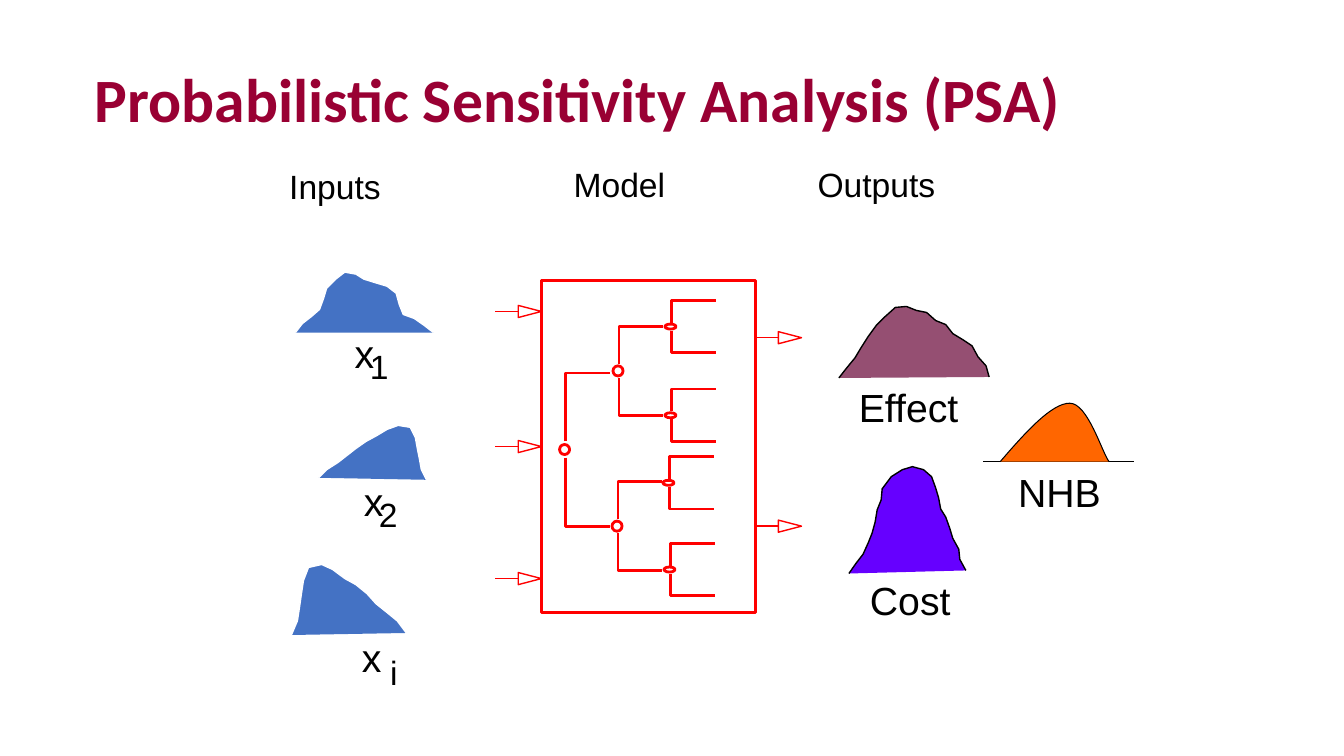
from dataclasses import dataclass

from lxml.etree import SubElement
from pptx import Presentation
from pptx.dml.color import RGBColor as RGB
from pptx.enum.shapes import MSO_CONNECTOR as CONN, MSO_SHAPE as SHAPE
from pptx.enum.text import MSO_ANCHOR as ANCHOR, MSO_AUTO_SIZE as FIT
from pptx.oxml.ns import qn
from pptx.util import Cm, Pt


@dataclass(frozen=True)
class Theme:
    """Colours, fonts, type sizes and line widths."""
    title: str = "990033"
    ink: str = "000000"
    paper: str = "FFFFFF"
    model: str = "FF0000"
    inputs: str = "4472C4"
    effect: str = "954F72"
    cost: str = "6600FF"
    benefit: str = "FF6600"
    title_font: str = "Calibri"
    body_font: str = "Arial"
    title_size: float = 44
    label_size: float = 28
    small_size: float = 24
    hair: float = 0.75
    thin: float = 1
    thick: float = 2


def u(v):
    """Turn a layout unit of 2.54 cm into a length."""
    return Cm(v * 2.54)


def bezier(p0, p1, p2, p3, steps=16):
    """Sample a cubic curve, leaving out its first point."""
    ts = [i / steps for i in range(1, steps + 1)]
    return [tuple((1 - t) ** 3 * a + 3 * t * (1 - t) ** 2 * b
                  + 3 * t * t * (1 - t) * c + t ** 3 * d
                  for a, b, c, d in zip(p0, p1, p2, p3)) for t in ts]


class Diagram:
    """Draws the elements of the slide in one style."""

    def __init__(self, slide, theme):
        """Keep the slide and its theme."""
        self.shapes, self.theme = slide.shapes, theme

    def style(self, s, fill, line, width):
        """Set fill, outline and shadow of a shape."""
        s.shadow.inherit = False
        if fill:
            s.fill.solid()
            s.fill.fore_color.rgb = RGB.from_string(fill)
        else:
            s.fill.background()
        s.line.color.rgb = RGB.from_string(line)
        s.line.width = Pt(width)
        return s

    def text(self, words, x, y, w, h, size, wrap=True):
        """Write a one-line label."""
        tf = self.shapes.add_textbox(u(x), u(y), u(w), u(h)).text_frame
        tf.word_wrap, tf.auto_size = wrap, FIT.SHAPE_TO_FIT_TEXT
        p = tf.paragraphs[0]
        p.text = words
        p.font.size, p.font.name = Pt(size), self.theme.body_font
        p.font.color.rgb = RGB.from_string(self.theme.ink)
        return tf

    def title(self, words):
        """Write the slide heading."""
        tf = self.text(words, 0.84, 0.42, 11.8, 1.19, self.theme.title_size)
        tf.auto_size, tf.vertical_anchor = FIT.NONE, ANCHOR.MIDDLE
        p = tf.paragraphs[0]
        p.line_spacing = 0.9
        p.font.name, p.font.bold = self.theme.title_font, True
        p.font.color.rgb = RGB.from_string(self.theme.title)

    def outline(self, points, line, width, fill=None, close=False):
        """Draw a freeform through the points."""
        (x, y), *rest = [(u(a), u(b)) for a, b in points]
        fb = self.shapes.build_freeform(x, y, scale=1.0)
        fb.add_line_segments(rest, close=close)
        return self.style(fb.convert_to_shape(), fill, line, width)

    def preset(self, kind, x, y, w, h):
        """Draw an unfilled shape of the model."""
        s = self.shapes.add_shape(kind, u(x), u(y), u(w), u(h))
        return self.style(s, None, self.theme.model, self.theme.thick)

    def line(self, x1, x2, y, color, width):
        """Draw a horizontal line."""
        s = self.shapes.add_connector(CONN.STRAIGHT, u(x1), u(y), u(x2), u(y))
        s.line.color.rgb = RGB.from_string(color)
        s.line.width = Pt(width)
        SubElement(s._element.spPr, qn("a:effectLst"))

    def arrow(self, x, y, half=0.23):
        """Draw an arrow whose open head is half its length."""
        t, neck = self.theme, x + half
        self.line(x, neck, y, t.model, t.thin)
        head = [(neck + half, y), (neck, y - 0.06), (neck, y + 0.06)]
        self.outline(head, t.model, t.thin, t.paper, close=True)

    def fork(self, x, y, gap, rise, reach, w, h):
        """Draw a tree node with an upper and a lower branch."""
        t = self.theme
        self.preset(SHAPE.OVAL, x - 0.01 - w / 2, y - h / 2, w, h)
        for side in (-1, 1):
            end = y + side * rise
            self.outline([(x, y + side * gap), (x, end), (x + reach, end)],
                         t.model, t.thick)

    def variable(self, x, y, sub, dx, dy):
        """Write the letter x with its index."""
        t = self.theme
        self.text("x", x, y, 0.4, 0.57, t.label_size, wrap=False)
        self.text(sub, x + dx, y + dy, 0.43, 0.51, t.small_size)


X1 = [(2.93, 3.3), (3, 3.21), (3.09, 3.14), (3.17, 3.07), (3.21, 2.96),
      (3.24, 2.86), (3.33, 2.77), (3.42, 2.7), (3.53, 2.72), (3.61, 2.77),
      (3.74, 2.81), (3.84, 2.84), (3.93, 2.91), (3.96, 3.02), (4, 3.12),
      (4.11, 3.16), (4.21, 3.23), (4.3, 3.3)]
X2 = [(3.16, 4.74), (3.24, 4.66), (3.35, 4.59), (3.44, 4.52), (3.53, 4.45),
      (3.63, 4.38), (3.74, 4.32), (3.84, 4.26), (3.95, 4.22), (4.07, 4.24),
      (4.12, 4.34), (4.14, 4.45), (4.16, 4.55), (4.18, 4.66), (4.23, 4.76)]
XI = [(4.03, 6.28), (3.94, 6.16), (3.83, 6.07), (3.73, 5.99), (3.64, 5.89),
      (3.53, 5.8), (3.42, 5.74), (3.3, 5.65), (3.19, 5.6), (3.06, 5.63),
      (3.01, 5.76), (2.99, 5.89), (2.97, 6.03), (2.95, 6.16), (2.89, 6.3)]
COST = [(8.42, 5.69), (8.49, 5.59), (8.56, 5.5), (8.61, 5.39), (8.65, 5.29),
        (8.68, 5.18), (8.7, 5.06), (8.74, 4.96), (8.75, 4.85), (8.84, 4.73),
        (8.95, 4.66), (9.05, 4.63), (9.16, 4.66), (9.24, 4.73), (9.28, 4.84),
        (9.31, 4.94), (9.33, 5.05), (9.38, 5.13), (9.42, 5.24), (9.45, 5.34),
        (9.51, 5.45), (9.52, 5.55), (9.58, 5.66)]
EFFECT = [(8.32, 3.75), (8.39, 3.66), (8.48, 3.55), (8.54, 3.45), (8.61, 3.34),
          (8.69, 3.23), (8.78, 3.14), (8.88, 3.05), (8.99, 3.04), (9.09, 3.08),
          (9.19, 3.1), (9.28, 3.18), (9.38, 3.22), (9.45, 3.31), (9.55, 3.37),
          (9.64, 3.43), (9.7, 3.54), (9.78, 3.63), (9.81, 3.74)]
START, PEAK, END = (9.92, 4.58), (10.61, 4), (11, 4.58)
NHB = [START, *bezier(START, (10.17, 4.29), (10.43, 4), PEAK),
       *bezier(PEAK, (10.79, 4), (10.93, 4.49), END)]


def main():
    """Build and save the slide."""
    prs = Presentation()
    prs.slide_width, prs.slide_height = u(13.33), u(7.5)
    t = Theme()
    d = Diagram(prs.slides.add_slide(prs.slide_layouts[6]), t)

    d.title("Probabilistic Sensitivity Analysis (PSA)")
    for words, x, y in (("Inputs", 2.77, 1.6), ("Model", 5.59, 1.58),
                        ("Outputs", 8.01, 1.58)):
        d.text(words, x, y, 1.89, 0.51, t.small_size)

    for points in (X1, X2, XI):
        d.outline(points, t.paper, t.thin, t.inputs)
    d.variable(3.42, 3.22, "1", 0.15, 0.16)
    d.variable(3.51, 4.69, "2", 0.15, 0.16)
    d.variable(3.49, 6.23, "i", 0.28, 0.19)

    d.preset(SHAPE.RECTANGLE, 5.37, 2.78, 2.12, 3.3)
    for y in (3.09, 4.43, 5.74):
        d.arrow(4.91, y)
    for y in (3.35, 5.22):
        d.arrow(7.49, y)
    d.fork(5.61, 4.46, 0.08, 0.76, 0.44, 0.1, 0.1)
    for x, y in ((6.14, 3.68), (6.13, 5.22)):
        d.fork(x, y, 0.07, 0.44, 0.44, 0.1, 0.1)
    for x, y in ((6.66, 3.24), (6.66, 4.12), (6.64, 4.79), (6.65, 5.65)):
        d.fork(x, y, 0.04, 0.26, 0.44, 0.11, 0.05)

    d.outline(COST, t.ink, t.thin, t.cost)
    d.outline(EFFECT, t.ink, t.thin, t.effect)
    d.line(9.75, 11.25, 4.58, t.ink, t.hair)
    d.outline(NHB, t.ink, t.hair, t.benefit)
    d.text("Cost", 8.53, 5.67, 1.11, 0.57, t.label_size)
    d.text("Effect", 8.42, 3.75, 1.32, 0.57, t.label_size)
    d.text("NHB", 10, 4.6, 1.02, 0.57, t.label_size, wrap=False)
    prs.save("out.pptx")


if __name__ == "__main__":
    main()
